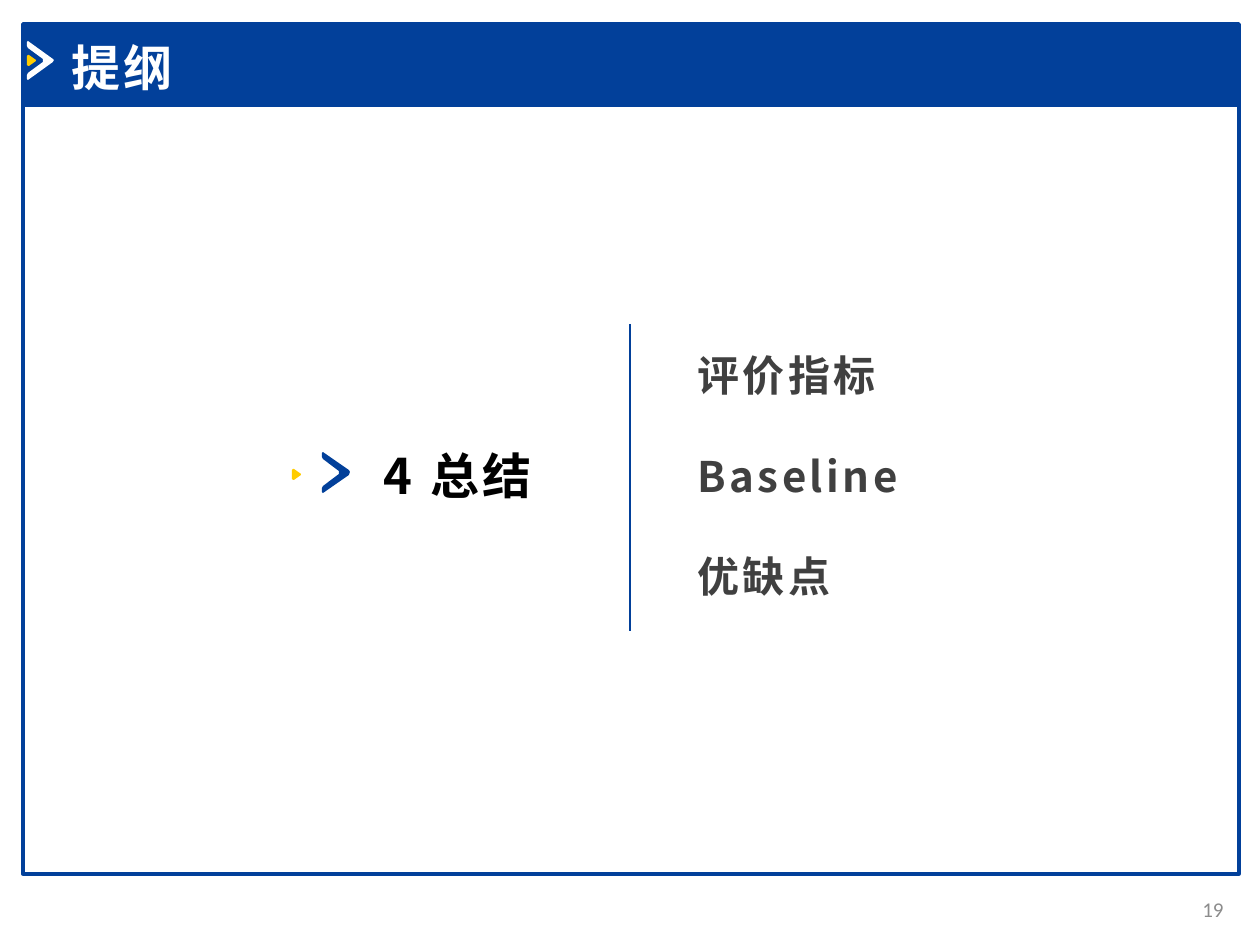
from lxml.etree import SubElement
from pptx import Presentation
from pptx.dml.color import RGBColor
from pptx.enum.shapes import MSO_CONNECTOR, MSO_SHAPE
from pptx.enum.text import MSO_ANCHOR, MSO_AUTO_SIZE, PP_ALIGN
from pptx.oxml.ns import qn
from pptx.util import Emu, Pt

COLORS = {"blue": "02409A", "white": "FFFFFF", "yellow": "FFCC00",
          "black": "000000", "text": "404040", "number": "8C8C8C"}
CJK_FONT = "Noto Sans CJK SC"
TITLE = "提纲"
SECTION = "4 总结"
TOPICS = ["评价指标", "Baseline", "优缺点"]
PAGE_NUMBER = "19"

FRAME = (23, 105, 1216, 769)
HEADER = (23, 24, 1216, 81)
CHEVRON = [(0, 0.03), (0.05, 0), (0.98, 0.45), (1, 0.5), (0.98, 0.55), (0.05, 1),
           (0, 0.97), (0, 0.88), (0.04, 0.82), (0.6, 0.53), (0.6, 0.47),
           (0.04, 0.18), (0, 0.12)]
ARROW = [(0, 0.1), (0.1, 0), (0.25, 0.02), (0.95, 0.42), (1, 0.5),
         (0.95, 0.58), (0.25, 0.98), (0.1, 1), (0, 0.9)]
MARKS = [(CHEVRON, (27, 41, 27, 39), "white"), (ARROW, (27, 55, 9, 11), "yellow"),
         (CHEVRON, (322, 452, 28, 41), "blue"), (ARROW, (292, 469, 9, 11), "yellow")]
EMU_PER_PX = 914400 / 126


def px(value):
    return Emu(round(value * EMU_PER_PX))


def color(name):
    return RGBColor.from_string(COLORS[name])


def add_box(slide, box, filled):
    shape = slide.shapes.add_shape(MSO_SHAPE.RECTANGLE, *map(px, box))
    shape.shadow.inherit = False
    if filled:
        shape.fill.solid()
        shape.fill.fore_color.rgb = color("blue")
    else:
        shape.fill.background()
    shape.line.color.rgb = color("blue")
    shape.line.width = Pt(2)


def add_mark(slide, outline, box, fill):
    left, top, width, height = box
    points = [(left + x * width, top + y * height) for x, y in outline]
    builder = slide.shapes.build_freeform(*points[0], scale=EMU_PER_PX)
    builder.add_line_segments(points[1:])
    shape = builder.convert_to_shape()
    shape.shadow.inherit = False
    shape.fill.solid()
    shape.fill.fore_color.rgb = color(fill)
    shape.line.fill.background()


def add_divider(slide, x, top, bottom):
    line = slide.shapes.add_connector(MSO_CONNECTOR.STRAIGHT, px(x), px(top), px(x), px(bottom))
    line.line.color.rgb = color("blue")
    line.line.width = Pt(1.5)
    SubElement(line._element.spPr, qn("a:effectLst"))


def set_text(shape, box, lines, size, font, ink, bold=True, align=PP_ALIGN.LEFT, gap=0):
    shape.left, shape.top, shape.width, shape.height = map(px, box)
    frame = shape.text_frame
    frame.word_wrap = True
    frame.auto_size = MSO_AUTO_SIZE.NONE
    frame.vertical_anchor = MSO_ANCHOR.MIDDLE
    frame.text = "\n".join(lines)
    for index, paragraph in enumerate(frame.paragraphs):
        paragraph.alignment = align
        paragraph.line_spacing = Pt(round(size * 1.33))
        paragraph.space_before = Pt(gap if index else 0)
        paragraph.font.size = Pt(size)
        paragraph.font.bold = bold
        paragraph.font.color.rgb = color(ink)
        paragraph.font.name = font
        for run in paragraph.runs:
            properties = run._r.get_or_add_rPr()
            if bold:
                properties.set("spc", "200")
            SubElement(properties, qn("a:ea")).set("typeface", CJK_FONT)


def add_text(slide, box, *args, **options):
    set_text(slide.shapes.add_textbox(*map(px, box)), box, *args, **options)


def main():
    presentation = Presentation()
    presentation.slide_width, presentation.slide_height = px(1260), px(945)
    slide = presentation.slides.add_slide(presentation.slide_layouts[5])
    title = slide.shapes.title
    add_box(slide, FRAME, filled=False)
    add_box(slide, HEADER, filled=True)
    for mark in MARKS:
        add_mark(slide, *mark)
    slide.shapes._spTree.append(title._element)
    set_text(title, (59, 28, 449, 72), [TITLE], 28, "Calibri", "white")
    add_text(slide, (371, 436, 200, 72), [SECTION], 28, CJK_FONT, "black")
    add_divider(slide, 630, 324, 631)
    add_text(slide, (685, 339, 325, 267), TOPICS, 24, CJK_FONT, "text", gap=25.4)
    add_text(slide, (1162, 883, 74, 50), [PAGE_NUMBER], 12, "Calibri", "number",
             bold=False, align=PP_ALIGN.RIGHT)
    presentation.save("out.pptx")


if __name__ == "__main__":
    main()
